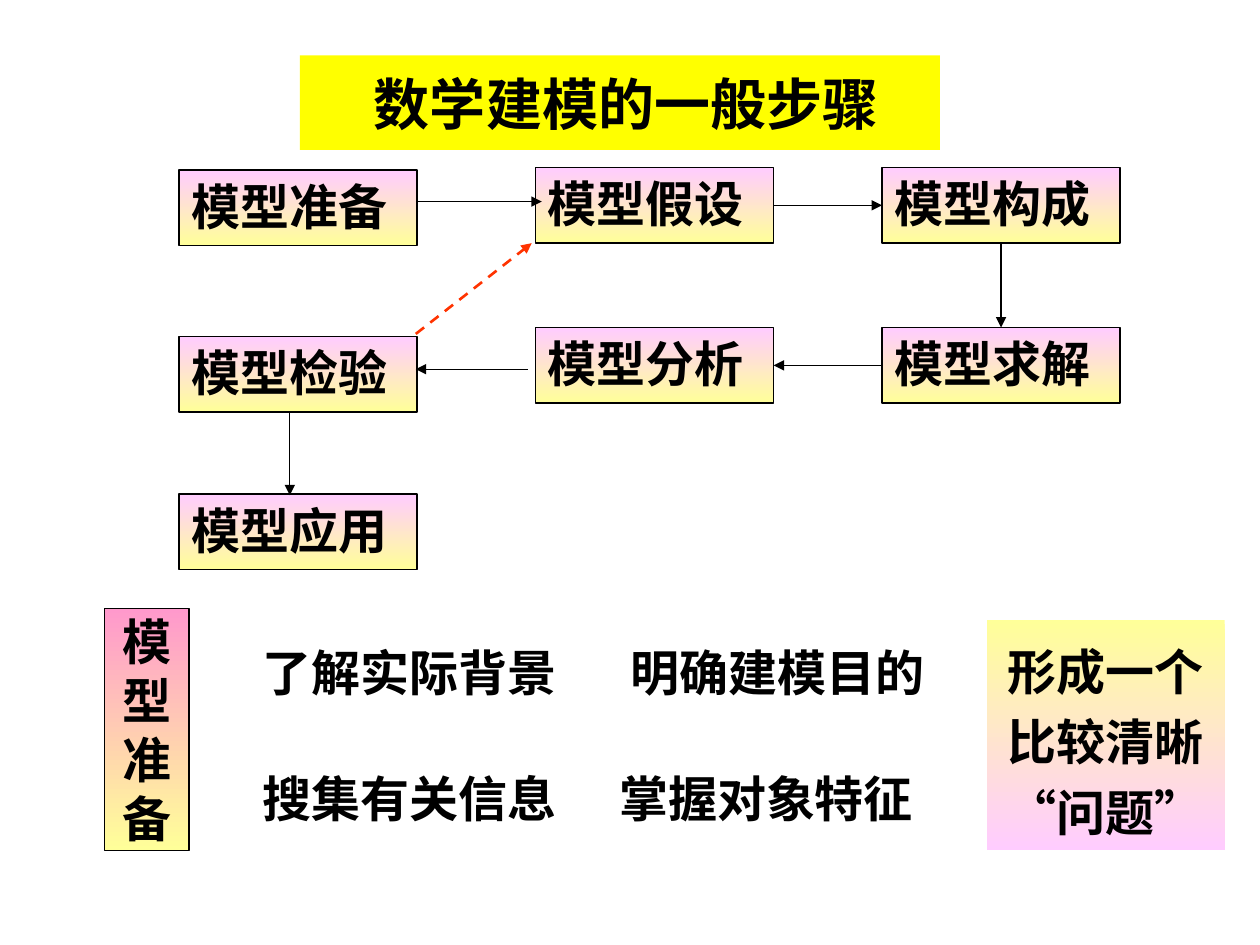
from lxml import etree
from pptx import Presentation
from pptx.dml.color import RGBColor
from pptx.enum.dml import MSO_LINE
from pptx.enum.shapes import MSO_CONNECTOR, MSO_SHAPE
from pptx.enum.text import MSO_ANCHOR, PP_ALIGN
from pptx.oxml.ns import qn
from pptx.util import Inches, Pt

TOP, MIDDLE = MSO_ANCHOR.TOP, MSO_ANCHOR.MIDDLE
CENTER, JUSTIFY = PP_ALIGN.CENTER, PP_ALIGN.JUSTIFY
RECTANGLE, STRAIGHT, DASH = MSO_SHAPE.RECTANGLE, MSO_CONNECTOR.STRAIGHT, MSO_LINE.DASH
SIDE_TOP, SIDE_LEFT, SIDE_BOTTOM, SIDE_RIGHT = range(4)

THEME = {
    "black": "000000", "yellow": "FFFF00", "red": "FF3300",
    "step": ("FFCCFF", "FFFF99"), "label": ("FF99CC", "FFFF99"),
    "result": ("FFFF99", "FFCCFF"),
    "sans": "Noto Sans CJK SC", "serif": "Times New Roman",
    "title_size": 32, "body_size": 28, "thin": 0.75, "thick": 1.5,
}

TITLE = " 数学建模的一般步骤"
TITLE_BOX = (2.38, 0.44, 5.08, 0.75)
STEP_SIZE = (1.89, 0.6)
COLUMNS = (1.42, 4.25, 7)
STEPS = {
    "模型准备": (0, 1.35), "模型假设": (1, 1.33), "模型构成": (2, 1.33),
    "模型求解": (2, 2.6), "模型分析": (1, 2.6), "模型检验": (0, 2.67),
    "模型应用": (0, 3.92),
}
JOINED_ARROWS = [
    ("模型假设", SIDE_RIGHT, "模型构成", SIDE_LEFT),
    ("模型构成", SIDE_BOTTOM, "模型求解", SIDE_TOP),
    ("模型求解", SIDE_LEFT, "模型分析", SIDE_RIGHT),
]
FREE_ARROWS = [
    (3.3, 1.6, 4.3, 1.6),
    (4.19, 2.93, 3.3, 2.93),
    (2.3, 3.28, 2.3, 3.93),
]
FEEDBACK_ARROW = (3.3, 2.65, 4.22, 1.93)
LABEL, LABEL_BOX = list("模型准备"), (0.83, 4.83, 0.67, 1.92)
TASK_SIZE = (2.5, 0.67)
TASKS = [
    ("了解实际背景", 2, 5), ("明确建模目的", 4.92, 5),
    ("搜集有关信息", 2, 6), ("掌握对象特征", 4.83, 6),
]
RESULT, RESULT_BOX = ["形成一个", "比较清晰", "“问题”"], (7.83, 4.92, 1.89, 1.83)


def color(name):
    return RGBColor.from_string(name)


def inches(values):
    return [Inches(value) for value in values]


def apply_format(target, values):
    for name, value in values.items():
        setattr(target, name, value)


def write(shape, lines, font, size=THEME["body_size"], anchor=MIDDLE,
          alignment=CENTER, wrap=False, spacing=None):
    frame = shape.text_frame
    apply_format(frame, {"word_wrap": wrap, "vertical_anchor": anchor})
    for index, line in enumerate(lines):
        paragraph = frame.add_paragraph() if index else frame.paragraphs[0]
        apply_format(paragraph, {"alignment": alignment, "line_spacing": spacing})
        run = paragraph.add_run()
        run.text = line
        apply_format(run.font, {"name": font, "size": Pt(size), "bold": True})
        run.font.color.rgb = color(THEME["black"])
        east_asian = etree.Element(qn("a:ea"), typeface=THEME["sans"])
        run.font._element.find(qn("a:latin")).addnext(east_asian)


def add_panel(slide, box, gradient, outlined=True):
    shape = slide.shapes.add_shape(RECTANGLE, *inches(box))
    shape.shadow.inherit = False
    shape.fill.gradient()
    shape.fill.gradient_angle = 270
    for stop, name in zip(shape.fill.gradient_stops, gradient):
        stop.color.rgb = color(name)
    if outlined:
        shape.line.color.rgb = color(THEME["black"])
        shape.line.width = Pt(THEME["thin"])
    else:
        shape.line.fill.background()
    return shape


def add_arrow(slide, ends=(0, 0, 0, 0), name="black", width="thin", dash=None):
    arrow = slide.shapes.add_connector(STRAIGHT, *inches(ends))
    arrow.line.color.rgb = color(THEME[name])
    apply_format(arrow.line, {"width": Pt(THEME[width]), "dash_style": dash})
    etree.SubElement(arrow.line._get_or_add_ln(), qn("a:tailEnd"), type="triangle")
    etree.SubElement(arrow._element.spPr, qn("a:effectLst"))
    return arrow


def main():
    presentation = Presentation()
    apply_format(presentation, {"slide_width": Inches(10), "slide_height": Inches(7.5)})
    slide = presentation.slides.add_slide(presentation.slide_layouts[5])

    title = slide.shapes.title
    apply_format(title, dict(zip(("left", "top", "width", "height"), inches(TITLE_BOX))))
    title.fill.solid()
    title.fill.fore_color.rgb = color(THEME["yellow"])
    write(title, [TITLE], THEME["sans"], THEME["title_size"])

    steps = {}
    for name, (column, top) in STEPS.items():
        steps[name] = add_panel(slide, (COLUMNS[column], top, *STEP_SIZE), THEME["step"])
        write(steps[name], [name], THEME["serif"], anchor=TOP, alignment=JUSTIFY, wrap=True)

    for start, start_side, end, end_side in JOINED_ARROWS:
        arrow = add_arrow(slide)
        arrow.begin_connect(steps[start], start_side)
        arrow.end_connect(steps[end], end_side)
    for ends in FREE_ARROWS:
        add_arrow(slide, ends)
    add_arrow(slide, FEEDBACK_ARROW, "red", "thick", DASH)

    write(add_panel(slide, LABEL_BOX, THEME["label"]), LABEL, THEME["serif"])
    for task, left, top in TASKS:
        text_box = slide.shapes.add_textbox(*inches((left, top, *TASK_SIZE)))
        apply_format(text_box.text_frame, {"margin_left": 0, "margin_right": 0})
        write(text_box, [task], THEME["sans"], wrap=True)
    result = add_panel(slide, RESULT_BOX, THEME["result"], outlined=False)
    write(result, RESULT, THEME["serif"], spacing=1.2)

    presentation.save("out.pptx")


if __name__ == "__main__":
    main()
